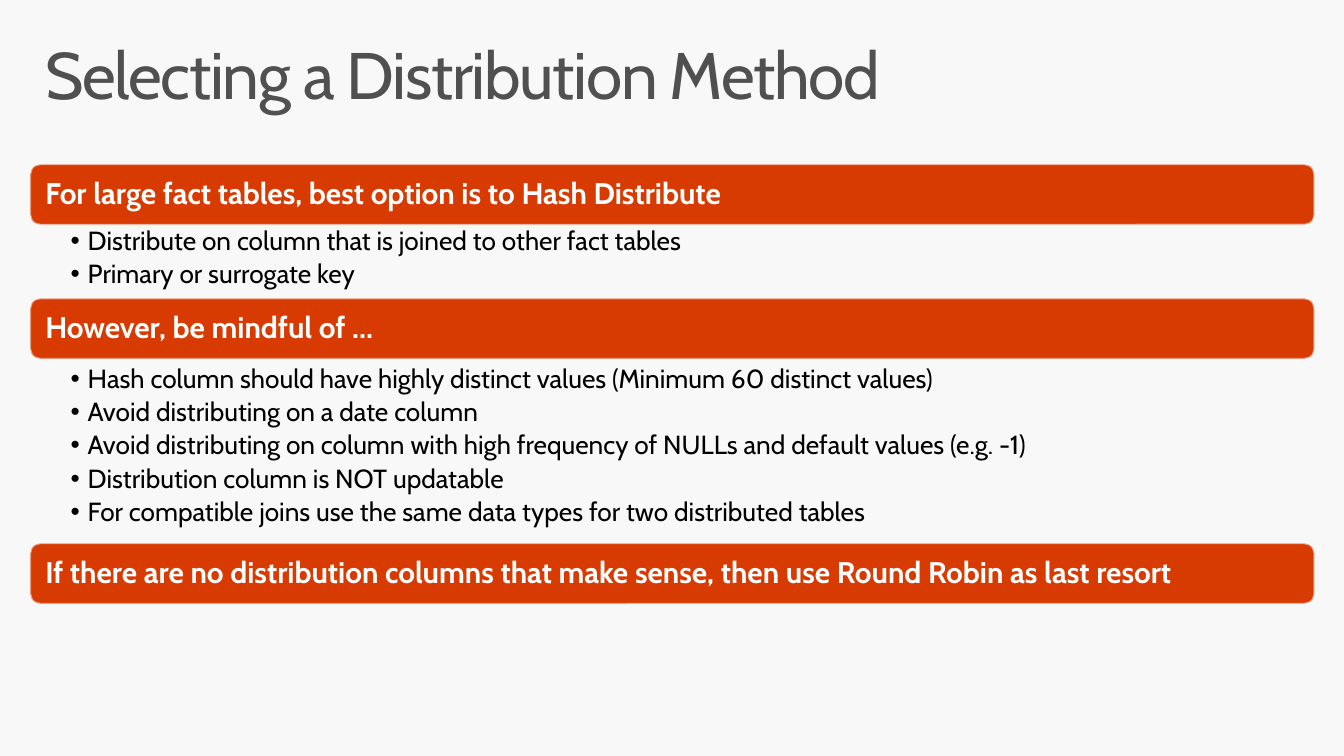
"""Build the slide on selecting a distribution method."""
from lxml.etree import SubElement
from pptx import Presentation
from pptx.dml.color import RGBColor
from pptx.enum.shapes import MSO_SHAPE
from pptx.enum.text import MSO_ANCHOR, MSO_AUTO_SIZE, PP_ALIGN
from pptx.oxml.ns import qn
from pptx.util import Inches, Pt

BACKGROUND = RGBColor(0xF8, 0xF8, 0xF8)
TITLE_GRAY = RGBColor(0x50, 0x50, 0x50)
ORANGE = RGBColor(0xD8, 0x3B, 0x01)
OUTLINE = RGBColor(0xF9, 0xF9, 0xF9)
WHITE = RGBColor(0xFF, 0xFF, 0xFF)
BLACK = RGBColor(0x00, 0x00, 0x00)

presentation = Presentation()
presentation.slide_width = Inches(13.33)
presentation.slide_height = Inches(7.5)
COLUMN = presentation.slide_width / 100
ROW = presentation.slide_height / 100
LEFT, WIDTH, BAR_HEIGHT = 2.25, 95.55, 8


def place(shape, left, top, width, height):
    """Set a shape's box in columns and rows of the grid."""
    shape.left, shape.width = int(left * COLUMN), int(width * COLUMN)
    shape.top, shape.height = int(top * ROW), int(height * ROW)


def write(shape, lines, size, color, insets, bold=False, bullet=None,
          space_after=0, anchor=MSO_ANCHOR.TOP):
    """Fill a shape with formatted paragraphs; insets are in inches."""
    frame = shape.text_frame
    frame.word_wrap = True
    frame.auto_size = MSO_AUTO_SIZE.NONE
    frame.vertical_anchor = anchor
    (frame.margin_left, frame.margin_top,
     frame.margin_right, frame.margin_bottom) = map(Inches, insets)
    frame.text = "\n".join(lines)
    for paragraph in frame.paragraphs:
        paragraph.alignment = PP_ALIGN.LEFT
        paragraph.line_spacing = 0.9
        paragraph.space_before = Pt(0)
        paragraph.space_after = Pt(space_after)
        if bullet:
            properties = paragraph._p.get_or_add_pPr()
            properties.set("marL", str(Inches(0.17)))
            properties.set("indent", str(-Inches(0.17)))
            SubElement(properties, qn("a:buFont"), typeface="Arial")
            SubElement(properties, qn("a:buChar"), char=bullet)
        for run in paragraph.runs:
            run.font.name = "Cabin"
            run.font.size = Pt(size)
            run.font.bold = bold
            run.font.color.rgb = color


slide = presentation.slides.add_slide(presentation.slide_layouts.get_by_name("Two Content"))
slide.background.fill.solid()
slide.background.fill.fore_color.rgb = BACKGROUND

title = slide.shapes.title
place(title, 2.18, 4.27, 95.65, 13.07)
write(title, ["Selecting a Distribution Method"], 47, TITLE_GRAY, (0.16, 0.1, 0.16, 0.1))
title.text_frame.paragraphs[0].runs[0].font._element.set("spc", "-100")

bars = [
    (21.73, "For large fact tables, best option is to Hash Distribute"),
    (39.47, "However, be mindful of …"),
    (71.87, "If there are no distribution columns that make sense, "
            "then use Round Robin as last resort"),
]
for top, heading in bars:
    bar = slide.shapes.add_shape(MSO_SHAPE.ROUNDED_RECTANGLE, 0, 0, 0, 0)
    place(bar, LEFT, top, WIDTH, BAR_HEIGHT)
    bar.shadow.inherit = False
    bar.fill.solid()
    bar.fill.fore_color.rgb = ORANGE
    bar.line.color.rgb = OUTLINE
    bar.line.width = Pt(1.35)
    outline_color = bar.line.fill._xPr.find(".//" + qn("a:srgbClr"))
    SubElement(outline_color, qn("a:alpha"), val="50000")
    write(bar, [heading], 21.3, WHITE, (0.12, 0.12, 0.12, 0.12), bold=True,
          anchor=MSO_ANCHOR.MIDDLE)

lists = [
    (1, 29.73, 8.67, [
        "Distribute on column that is joined to other fact tables",
        "Primary or surrogate key",
    ]),
    (2, 48, 21.87, [
        "Hash column should have highly distinct values (Minimum 60 distinct values)",
        "Avoid distributing on a date column",
        "Avoid distributing on column with high frequency of NULLs and default values (e.g. -1)",
        "Distribution column is NOT updatable",
        "For compatible joins use the same data types for two distributed tables",
    ]),
]
for placeholder_index, top, height, points in lists:
    body = slide.placeholders[placeholder_index]
    place(body, LEFT, top, WIDTH, height)
    write(body, points, 18.7, BLACK, (0.4, 0.03, 0.17, 0.03), bullet="•", space_after=3.5)

presentation.save("out.pptx")
